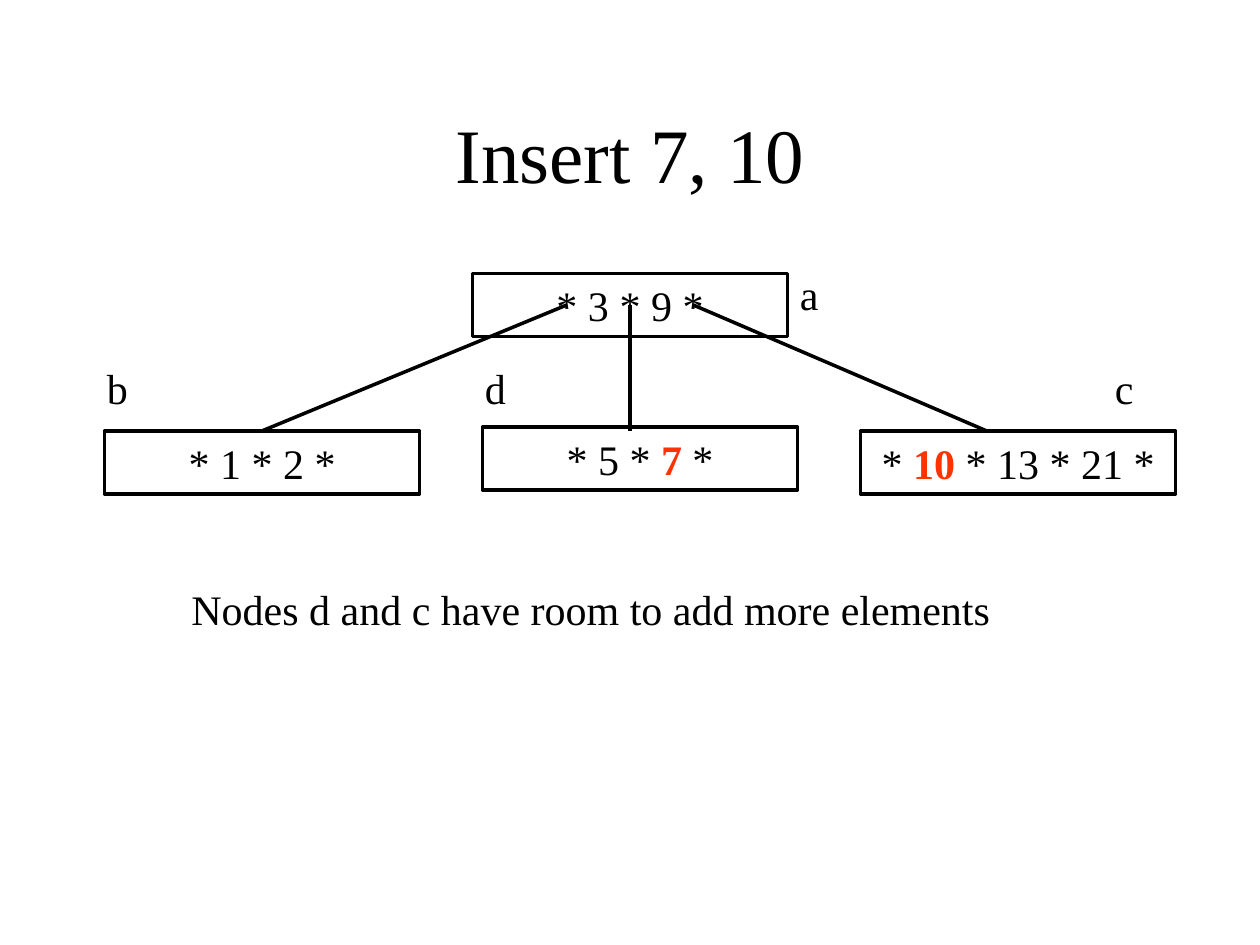
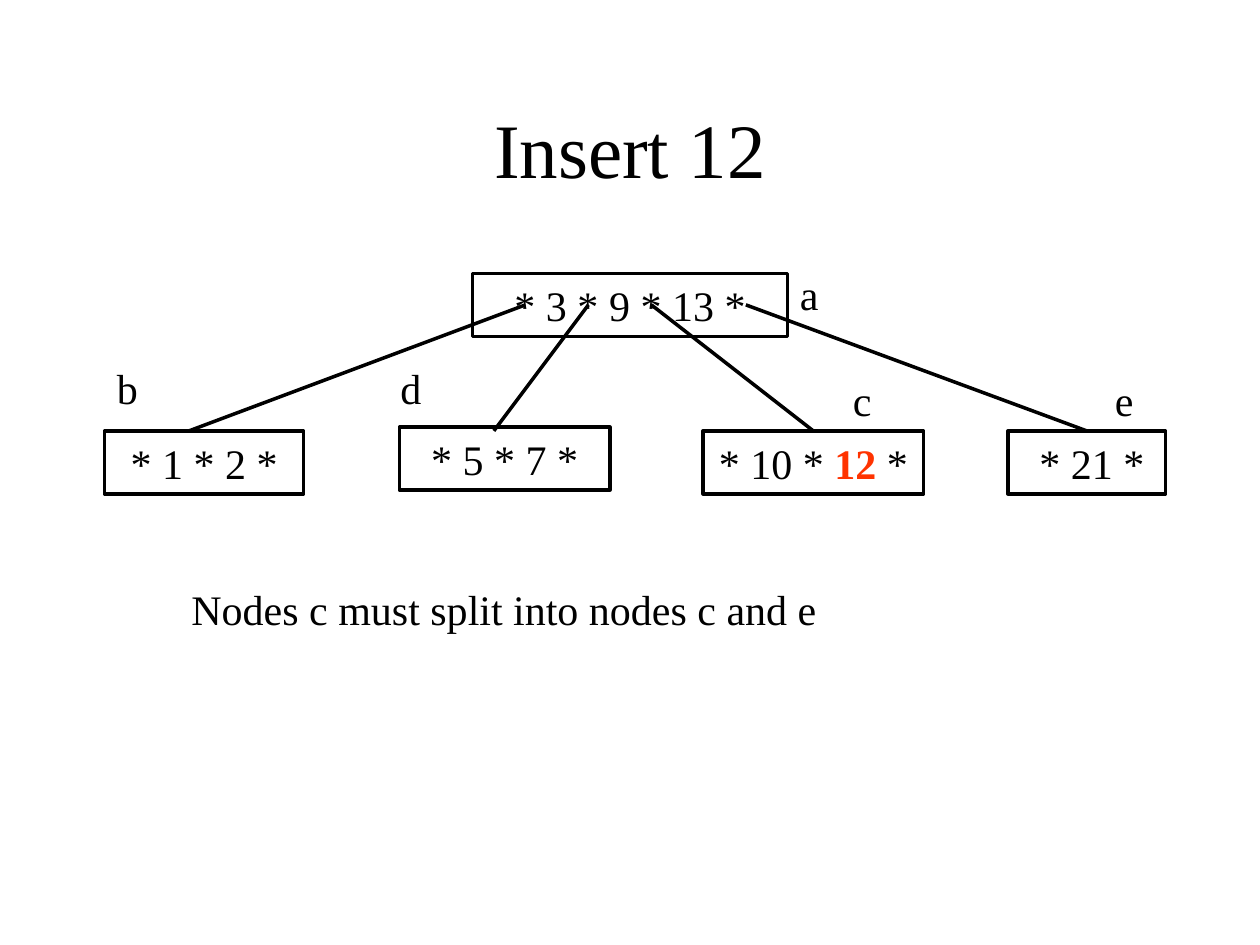
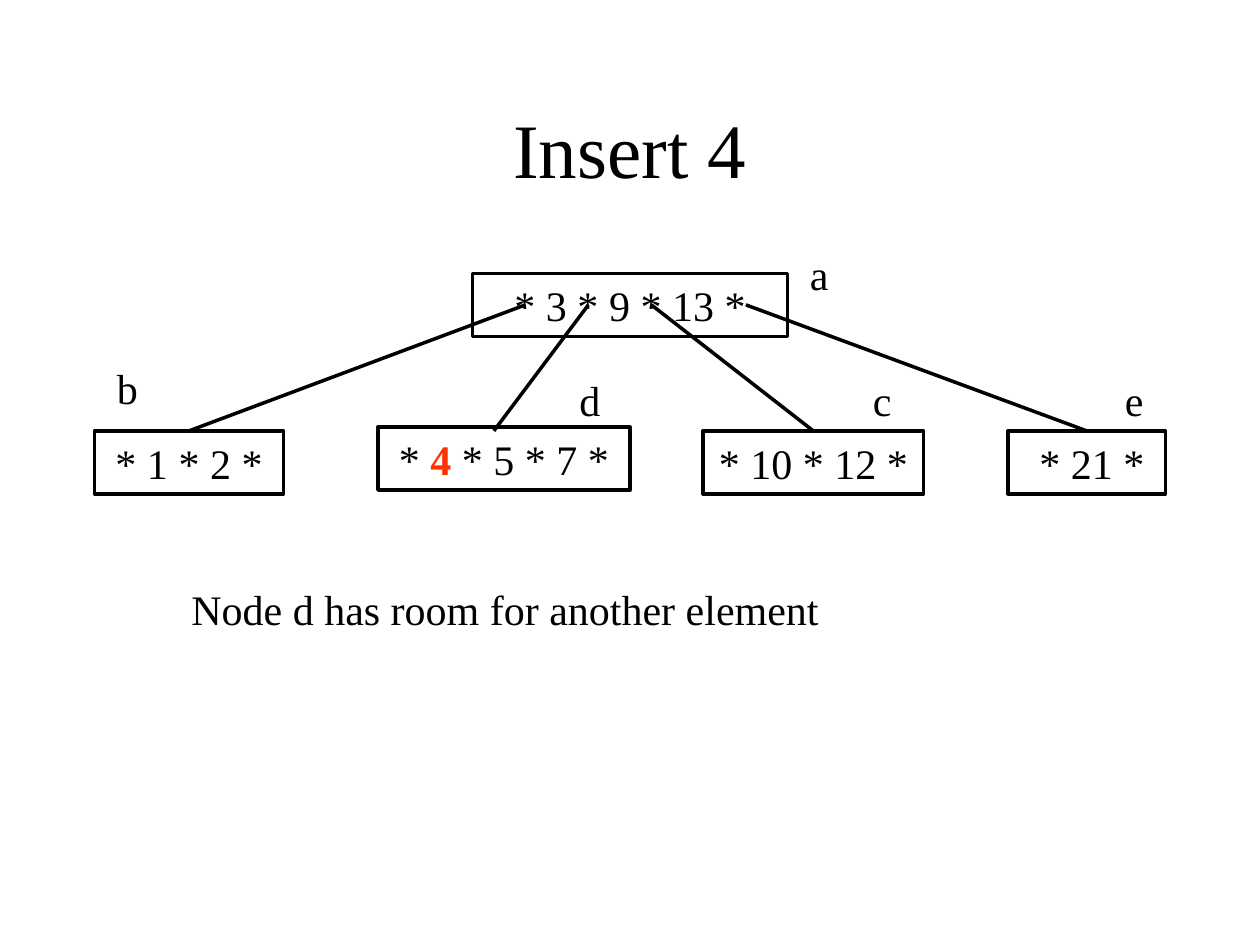
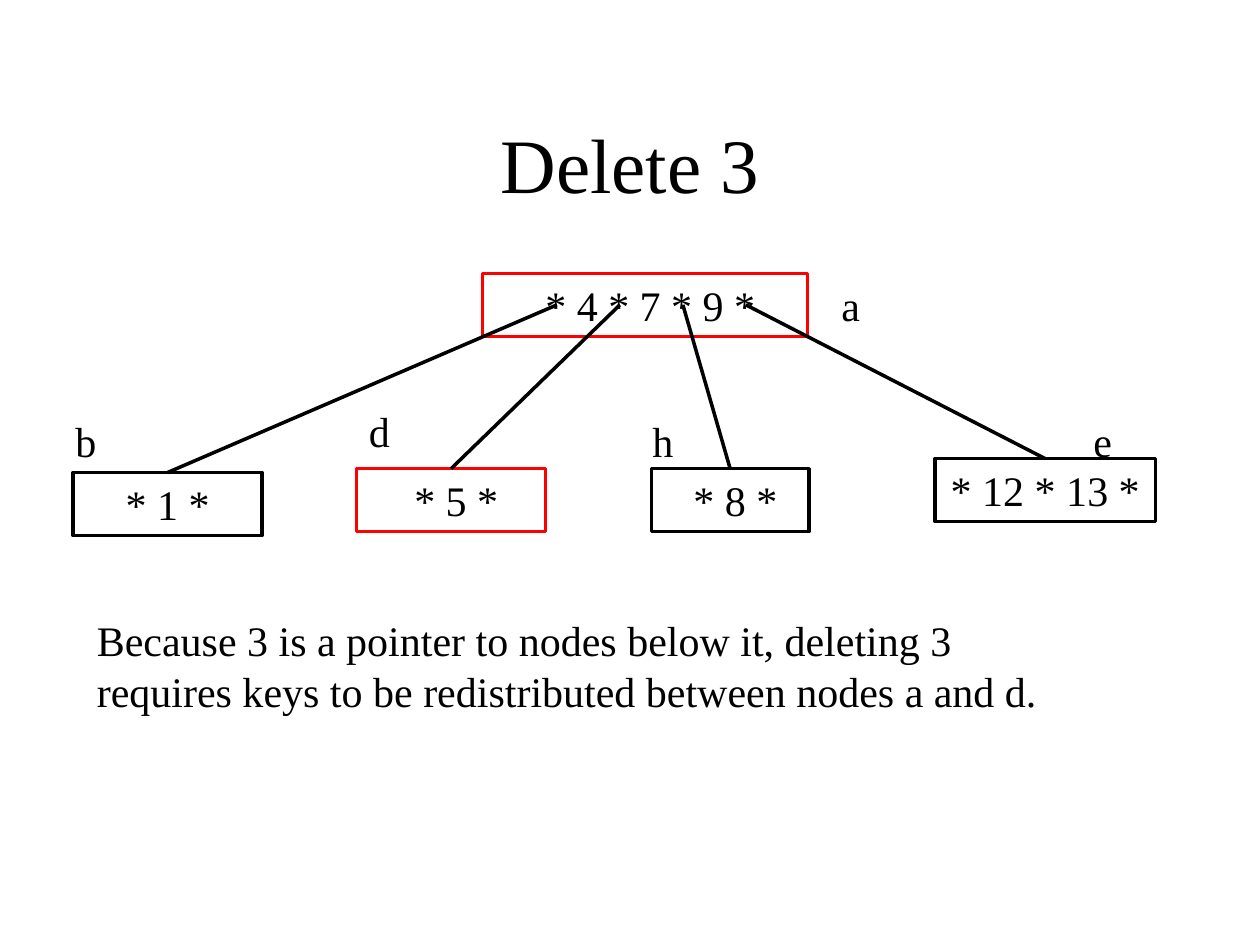
from lxml import etree
from pptx import Presentation
from pptx.dml.color import RGBColor
from pptx.enum.shapes import MSO_CONNECTOR, MSO_SHAPE
from pptx.enum.text import MSO_ANCHOR, MSO_AUTO_SIZE, PP_ALIGN
from pptx.oxml.ns import qn
from pptx.util import Inches, Pt

RECT = MSO_SHAPE.RECTANGLE
LINE = MSO_CONNECTOR.STRAIGHT
TOP, MIDDLE = MSO_ANCHOR.TOP, MSO_ANCHOR.MIDDLE
GROW, FIXED = MSO_AUTO_SIZE.SHAPE_TO_FIT_TEXT, MSO_AUTO_SIZE.NONE
LEFT, CENTER = PP_ALIGN.LEFT, PP_ALIGN.CENTER


class Theme:
    font = "Times New Roman"
    title, body = Pt(44), Pt(24)
    gap, line = Pt(15), Pt(2)
    ink = RGBColor(0, 0, 0)
    hot = RGBColor(0xFF, 0x33, 0x00)
    red = RGBColor(0xFF, 0, 0)


HIGH = 0.5    # height of nodes and labels
ROOT_Y = 2.17
NEAR = 0.05   # a line end this close to a node's top middle is joined

# Each node: name, name place, box left, top, width, keys, outline.
# Keys between bars are highlighted.
# Each link: start x in the root, then its end point.
ink, red = Theme.ink, Theme.red
node_e = (8, 3.42, 1.25, " * 21 *", ink)
links = [(4.17, 1.5, 3.42), (4.67, 3.92, 3.42),
         (5.17, 6.42, 3.42), (5.92, 8.58, 3.42)]
pages = [
    dict(title="Insert 7, 10", high=1.08,
         nodes=[("a", 6.25, 2.08, 3.75, ROOT_Y, 2.5, "* 3 * 9 *", ink),
                ("b", 0.75, 2.83, 0.83, 3.42, 2.5, "* 1 * 2 *", ink),
                ("d", 3.75, 2.83, 3.83, 3.39, 2.5, "* 5 * |7| *", ink),
                ("c", 8.75, 2.83, 6.83, 3.42, 2.5, "* |10 |* 13 * 21 *", ink)],
         links=[(4.5, 2.08, 3.42), (5, 5, 3.42), (5.5, 7.83, 3.42)],
         note="Nodes d and c have room to add more elements",
         place=(1.42, 4.58, 6.92, 0.5)),
    dict(title="Insert 12", high=1,
         nodes=[("a", 6.25, 2.08, 3.75, ROOT_Y, 2.5, "* 3 * 9 * 13 *", ink),
                ("b", 0.83, 2.83, 0.83, 3.42, 1.58, "* 1 * 2 *", ink),
                ("d", 3.08, 2.83, 3.17, 3.39, 1.67, "* 5 * 7 *", ink),
                ("c", 6.67, 2.92, 5.58, 3.42, 1.75, "* 10 * |12| *", ink),
                ("e", 8.75, 2.92, *node_e)],
         links=links,
         note="Nodes c must split into nodes c and e",
         place=(1.42, 4.58, 6.92, 0.5)),
    dict(title="Insert 4", high=1,
         nodes=[("a", 6.33, 1.92, 3.75, ROOT_Y, 2.5, "* 3 * 9 * 13 *", ink),
                ("b", 0.83, 2.83, 0.75, 3.42, 1.5, "* 1 * 2 *", ink),
                ("d", 4.5, 2.92, 3, 3.39, 2, "* |4| * 5 * 7 *", ink),
                ("c", 6.83, 2.92, 5.58, 3.42, 1.75, "* 10 * 12 *", ink),
                ("e", 8.83, 2.92, *node_e)],
         links=links,
         note="Node d has room for another element",
         place=(1.42, 4.58, 6.92, 0.5)),
    dict(title="Delete 3", high=1.25,
         nodes=[("a", 6.58, 2.17, 3.83, ROOT_Y, 2.58, " * 4 * 7 * 9 *", red),
                ("b", 0.5, 3.25, 0.58, 3.75, 1.5, "* 1 *", ink),
                ("d", 2.83, 3.17, 2.83, 3.72, 1.5, " * 5 *", red),
                ("h", 5.08, 3.25, 5.17, 3.72, 1.25, " * 8 *", ink),
                ("e", 8.58, 3.25, 7.42, 3.64, 1.75, "* 12 * 13 *", ink)],
         links=[(4.42, 1.33, 3.75), (4.92, 3.58, 3.75),
                (5.42, 5.83, 3.75), (5.92, 8.25, 3.67)],
         note="Because 3 is a pointer to nodes below it, deleting 3 requires "
              "keys to be redistributed between nodes a and d.",
         place=(0.67, 4.83, 8.08, 0.9)),
]


def write(shape, text, align=LEFT, size=Theme.body, gap=Theme.gap,
          anchor=TOP, fit=GROW):
    frame = shape.text_frame
    frame.word_wrap, frame.auto_size = True, fit
    frame.vertical_anchor = anchor
    para = frame.paragraphs[0]
    para.alignment, para.space_before = align, gap
    for i, part in enumerate(text.split("|")):
        run = para.add_run()
        run.text = part
        font = run.font
        font.name, font.size, font.bold = Theme.font, size, i % 2 == 1
        font.color.rgb = Theme.hot if i % 2 else Theme.ink


def label(slide, text, *place):
    write(slide.shapes.add_textbox(*map(Inches, place)), text)


deck = Presentation()
deck.slide_width, deck.slide_height = Inches(10), Inches(7.5)

for page in pages:
    slide = deck.slides.add_slide(deck.slide_layouts[5])

    # Title
    title = slide.shapes.title
    title.left, title.top = Inches(0.75), Inches(0.67)
    title.width, title.height = Inches(8.5), Inches(page["high"])
    write(title, page["title"], CENTER, Theme.title, Pt(0), MIDDLE, FIXED)

    # Tree nodes
    boxes = []
    for name, lx, ly, x, y, wide, keys, color in page["nodes"]:
        box = slide.shapes.add_shape(RECT, *map(Inches, (x, y, wide, HIGH)))
        box.shadow.inherit = False
        box.fill.background()
        box.line.color.rgb, box.line.width = color, Theme.line
        write(box, keys, CENTER)
        boxes.append(box)

    # Links from the root to its children
    for (start, x, y), child in zip(page["links"], boxes[1:]):
        ends = start, ROOT_Y + HIGH / 2, x, y
        link = slide.shapes.add_connector(LINE, *map(Inches, ends))
        link.line.color.rgb, link.line.width = Theme.ink, Theme.line
        etree.SubElement(link._element.spPr, qn("a:effectLst"))
        mid = child.left + child.width / 2
        if max(abs(mid - Inches(x)), abs(child.top - Inches(y))) < Inches(NEAR):
            link.end_connect(child, 0)

    # Node names and note
    for name, lx, ly, *rest in page["nodes"]:
        label(slide, name, lx, ly, HIGH, HIGH)
    label(slide, page["note"], *page["place"])

deck.save("out.pptx")
